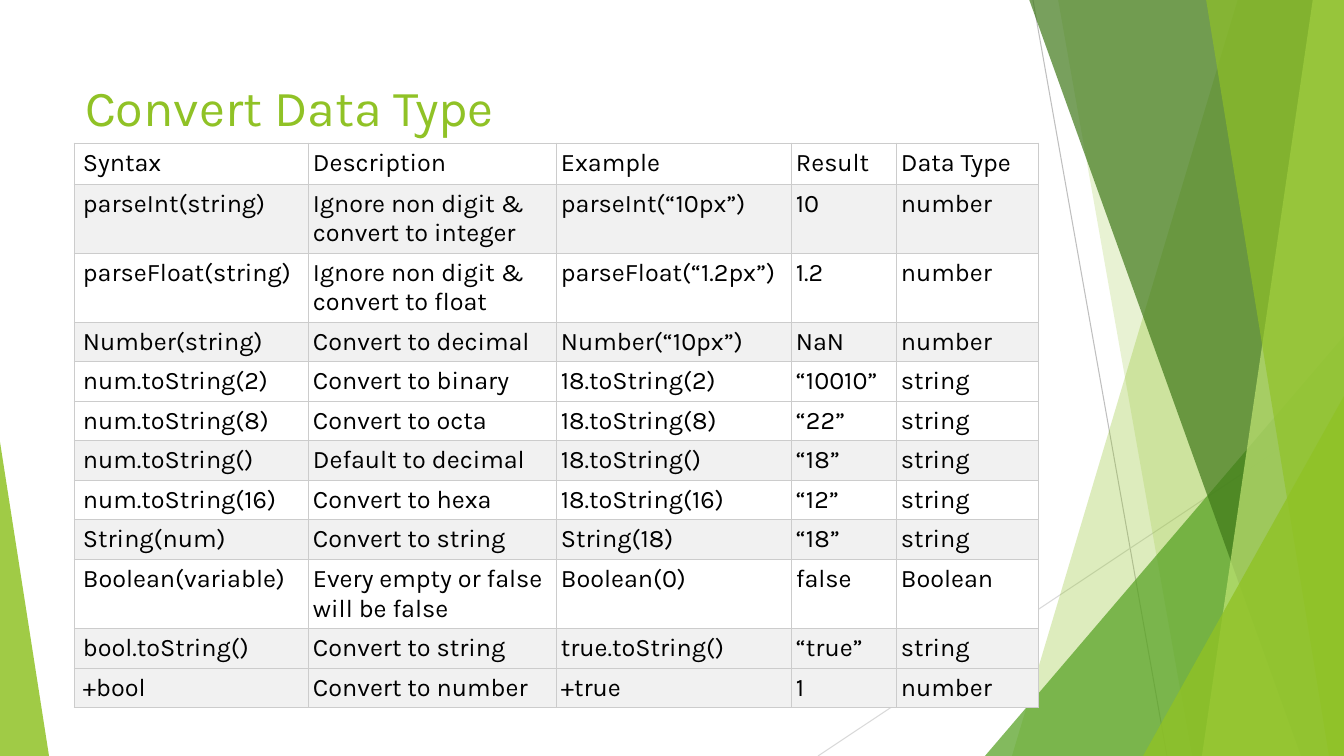
from lxml import etree
from pptx import Presentation
from pptx.dml.color import RGBColor
from pptx.enum.shapes import MSO_CONNECTOR, MSO_SHAPE
from pptx.enum.text import MSO_ANCHOR, PP_ALIGN
from pptx.oxml.ns import qn
from pptx.util import Pt

LINE = MSO_CONNECTOR.STRAIGHT
TRIANGLE = MSO_SHAPE.ISOSCELES_TRIANGLE
MIDDLE, LEFT = MSO_ANCHOR.MIDDLE, PP_ALIGN.LEFT

SCALE = 914400 / 100.8
WIDTH, HEIGHT = 1344, 756
FONT = "Karla"
GREEN, GREY, WHITE = "90C226", "F1F1F1", "FFFFFF"

# Each band runs to the right edge: top x, bottom x, colour, opacity
BANDS = [
    (1238, 1012, GREEN, 30),
    (1058, 1192, GREEN, 20),
    (1029, 1301, "3F7819", 70),
    (1313, 1202, "C0E474", 70),
    (1206, 1329, GREEN, 65),
]

# Each triangle stands on the bottom edge: left, top, width, apex, colour, opacity
PEAKS = [
    (985, 336, 359, 1, "54A021", 72),
    (1143, 396, 201, 1, GREEN, 80),
    (0, 442, 49, 0, GREEN, 85),
]

COLS = [234, 248, 235, 105, 142]
HEAD, SINGLE, DOUBLE = 41, 39, 68
ROWS = [
    (HEAD, WHITE, "Syntax", "Description", "Example", "Result", "Data Type"),
    (DOUBLE, GREY, "parseInt(string)", "Ignore non digit & convert to integer",
     "parseInt(“10px”)", "10", "number"),
    (DOUBLE, WHITE, "parseFloat(string)", "Ignore non digit & convert to float",
     "parseFloat(“1.2px”)", "1.2", "number"),
    (SINGLE, GREY, "Number(string)", "Convert to decimal", "Number(“10px”)", "NaN", "number"),
    (SINGLE, WHITE, "num.toString(2)", "Convert to binary", "18.toString(2)", "“10010”", "string"),
    (SINGLE, WHITE, "num.toString(8)", "Convert to octa", "18.toString(8)", "“22”", "string"),
    (SINGLE, GREY, "num.toString()", "Default to decimal", "18.toString()", "“18”", "string"),
    (SINGLE, WHITE, "num.toString(16)", "Convert to hexa", "18.toString(16)", "“12”", "string"),
    (SINGLE, GREY, "String(num)", "Convert to string", "String(18)", "“18”", "string"),
    (DOUBLE, WHITE, "Boolean(variable)", "Every empty or false will be false",
     "Boolean(0)", "false", "Boolean"),
    (SINGLE, GREY, "bool.toString()", "Convert to string", "true.toString()", "“true”", "string"),
    (SINGLE, GREY, "+bool", "Convert to number", "+true", "1", "number"),
]


def px(*vals):
    return [round(val * SCALE) for val in vals]


def rgb(code):
    return RGBColor.from_string(code)


def assign(item, vals):
    for name, val in vals.items():
        setattr(item, name, val)


def write(frame, text, size, color):
    frame.text = text
    para = frame.paragraphs[0]
    para.alignment = LEFT
    font = para.runs[0].font
    assign(font, {"name": FONT, "size": Pt(size), "bold": False})
    font.color.rgb = rgb(color)


def paint(shape, color, alpha):
    shape.shadow.inherit = False
    shape.line.fill.background()
    shape.fill.solid()
    shape.fill.fore_color.rgb = rgb(color)
    tint = shape.element.spPr.find(qn("a:solidFill"))[0]
    etree.SubElement(tint, qn("a:alpha"), val=str(alpha * 1000))


def stroke(slide, ends, color):
    line = slide.shapes.add_connector(LINE, *px(*ends))
    line.line.width = Pt(0.75)
    line.line.color.rgb = rgb(color)
    etree.SubElement(line.element.spPr, qn("a:effectLst"))


def band(slide, top, base, color, alpha):
    pen = slide.shapes.build_freeform(top, -1, scale=SCALE)
    pen.add_line_segments([(WIDTH, -1), (WIDTH, HEIGHT), (base, HEIGHT)], close=True)
    paint(pen.convert_to_shape(), color, alpha)


def peak(slide, left, top, width, apex, color, alpha):
    shape = slide.shapes.add_shape(TRIANGLE, *px(left, top, width, HEIGHT - top))
    shape.adjustments[0] = apex
    paint(shape, color, alpha)


def heading(slide, text):
    title = slide.shapes.title
    left, top, width, height = px(75, 68, 947, 76)
    assign(title, {"left": left, "top": top, "width": width, "height": height})
    assign(title.text_frame, {"word_wrap": True, "vertical_anchor": MIDDLE})
    write(title.text_frame, text, 36, GREEN)
    # Bring the title in front of the decoration
    title.element.getparent().append(title.element)


def border(cell, color):
    props = cell._tc.get_or_add_tcPr()
    for spot, side in enumerate(("lnL", "lnR", "lnT", "lnB")):
        edge = etree.Element(qn("a:" + side), w=str(Pt(0.6)))
        fill = etree.SubElement(edge, qn("a:solidFill"))
        etree.SubElement(fill, qn("a:srgbClr"), val=color)
        props.insert(spot, edge)


def fill_cell(cell, text, color, inset):
    left, pad = px(inset, 5)
    assign(cell, {"margin_left": left, "margin_right": pad,
                  "margin_top": pad, "margin_bottom": pad})
    cell.fill.solid()
    cell.fill.fore_color.rgb = rgb(color)
    border(cell, "CCCCCC")
    write(cell.text_frame, text, 18, "000000")


def grid(slide):
    high = sum(row[0] for row in ROWS)
    frame = slide.shapes.add_table(len(ROWS), len(COLS), *px(74, 143, sum(COLS), high))
    table = frame.table
    assign(table, {"first_row": False, "horz_banding": False})
    for col, width in zip(table.columns, px(*COLS)):
        col.width = width
    for row, (tall, color, *texts) in zip(table.rows, ROWS):
        row.height = px(tall)[0]
        for num, (cell, text) in enumerate(zip(row.cells, texts)):
            fill_cell(cell, text, color, 5 if num else 9)


def main():
    deck = Presentation()
    deck.slide_width, deck.slide_height = px(WIDTH, HEIGHT)
    slide = deck.slides.add_slide(deck.slide_layouts[5])

    # Decoration, from back to front
    stroke(slide, (1033, 0, 1167, HEIGHT), "BFBFBF")
    stroke(slide, (WIDTH, 406, 818, HEIGHT), "D9D9D9")
    for item in BANDS[:2]:
        band(slide, *item)
    peak(slide, *PEAKS[0])
    for item in BANDS[2:]:
        band(slide, *item)
    for item in PEAKS[1:]:
        peak(slide, *item)

    # Content
    heading(slide, "Convert Data Type")
    grid(slide)
    deck.save("out.pptx")


main()
